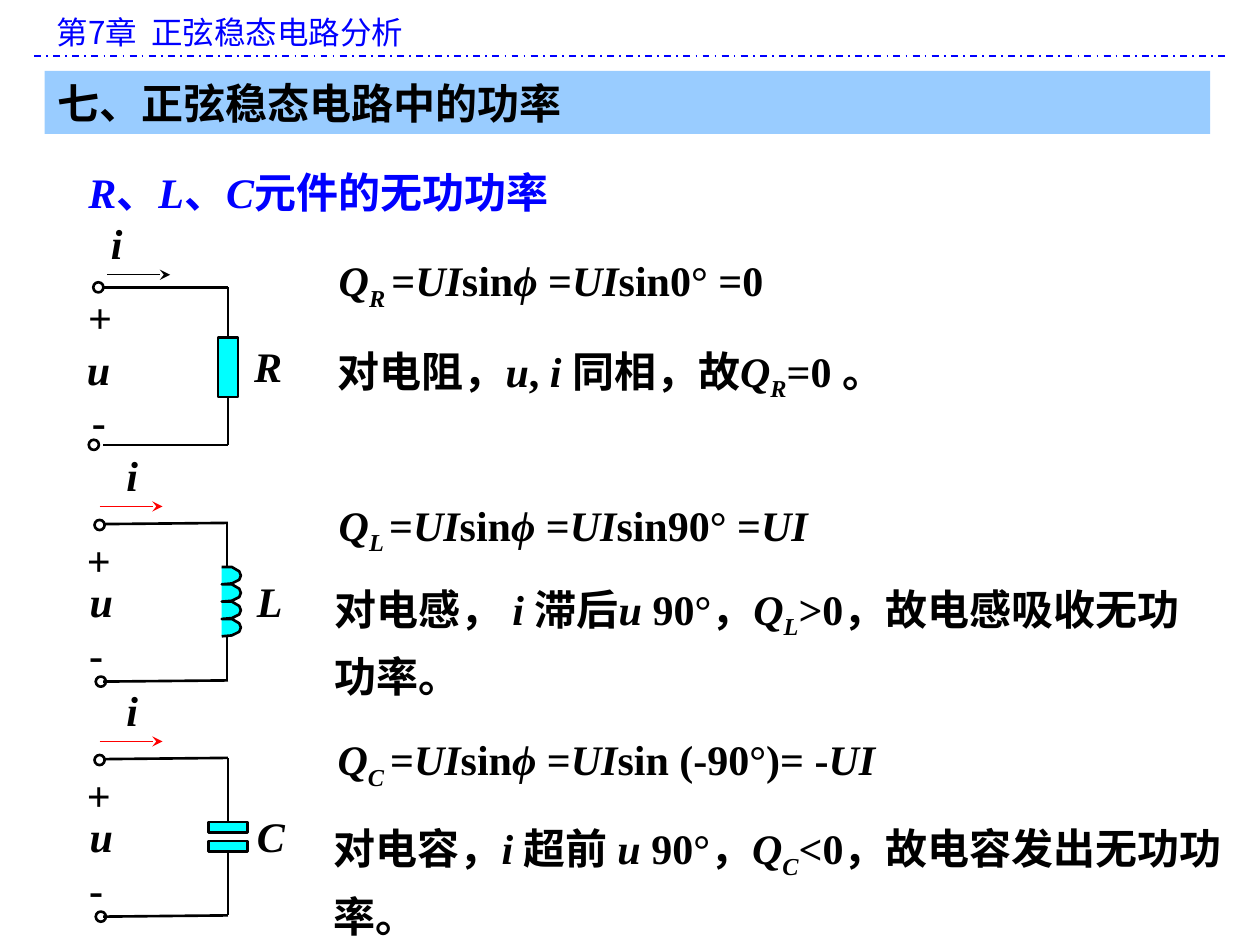
from pptx import Presentation
from pptx.dml.color import RGBColor
from pptx.enum.dml import MSO_LINE
from pptx.enum.shapes import MSO_CONNECTOR, MSO_SHAPE
from pptx.oxml.ns import qn
from pptx.oxml.xmlchemy import OxmlElement
from pptx.util import Pt

RECTANGLE, OVAL = MSO_SHAPE.RECTANGLE, MSO_SHAPE.OVAL
STRAIGHT = MSO_CONNECTOR.STRAIGHT
DASH_DOT = MSO_LINE.DASH_DOT

COLORS = {"black": "000000", "blue": "0000FF", "red": "FF0000",
          "cyan": "00FFFF", "band": "99CCFF"}
LATIN, CHINESE = "Times New Roman", "Noto Sans CJK SC"
WIRE = 1.5
RIGHT = 130.3      # x of the right-hand wire
HEIGHT = 90        # distance between the two horizontal wires


def color(name):
    return RGBColor.from_string(COLORS[name])


def write(shape, markup, ink="black", size=24, font=LATIN, bold=True, spacing=None):
    """Write one paragraph: *...* is italic, and _ inside it starts a subscript."""
    shape.text_frame.word_wrap = True
    paragraph = shape.text_frame.paragraphs[0]
    if spacing:
        paragraph.line_spacing = spacing
    paragraph.font.name = font
    paragraph.font.size = Pt(size)
    paragraph.font.bold = bold
    paragraph.font.color.rgb = color(ink)
    east_asian = OxmlElement("a:ea")
    east_asian.set("typeface", CHINESE)
    paragraph._p.pPr.find(qn("a:defRPr")).append(east_asian)
    for index, part in enumerate(markup.split("*")):
        base, _, subscript = part.partition("_")
        for text, offset in ((base, None), (subscript, "-25000")):
            if text:
                run = paragraph.add_run()
                run.text = text
                if index % 2:
                    run.font.italic = True
                if offset:
                    run.font._element.set("baseline", offset)


def add_text(shapes, left, top, width, height, markup, **style):
    box = shapes.add_textbox(Pt(left), Pt(top), Pt(width), Pt(height))
    write(box, markup, **style)


def add_line(shapes, x1, y1, x2, y2, ink="black", width=WIRE, dash=None, arrow=False):
    line = shapes.add_connector(STRAIGHT, Pt(x1), Pt(y1), Pt(x2), Pt(y2))
    line.line.color.rgb = color(ink)
    line.line.width = Pt(width)
    if dash:
        line.line.dash_style = dash
    if arrow:
        tail = OxmlElement("a:tailEnd")
        tail.set("type", "stealth")
        line.line._get_or_add_ln().append(tail)
    line._element.spPr.append(OxmlElement("a:effectLst"))


def paint(shape, fill=None, outline="black"):
    shape.shadow.inherit = False
    if fill:
        shape.fill.solid()
        shape.fill.fore_color.rgb = color(fill)
    else:
        shape.fill.background()
    if outline:
        shape.line.color.rgb = color(outline)
        shape.line.width = Pt(WIRE)
    else:
        shape.line.fill.background()


def add_shape(shapes, kind, left, top, width, height, fill=None, outline="black"):
    shape = shapes.add_shape(kind, Pt(left), Pt(top), Pt(width), Pt(height))
    paint(shape, fill, outline)
    return shape


def add_resistor(shapes, top):
    add_line(shapes, RIGHT, top, RIGHT, top + HEIGHT)
    add_shape(shapes, RECTANGLE, RIGHT - 5.8, top + 28.7, 11.6, 34, "cyan")


def add_inductor(shapes, top):
    add_line(shapes, RIGHT - 0.6, top, RIGHT - 0.6, top + HEIGHT)
    # Four equal turns bulging to the right
    left, start, pitch = 126.7, top + 25.2, 9.9
    turn = [(5.8, 0), (10, 2.5), (10.9, 4.9), (10, 7.3), (5.8, 9.4), (0, pitch)]
    points = [(left + x, start + number * pitch + y)
              for number in range(4) for x, y in turn]
    builder = shapes.build_freeform(Pt(left), Pt(start))
    builder.add_line_segments([(Pt(x), Pt(y)) for x, y in points], close=False)
    paint(builder.convert_to_shape(), "cyan")


def add_capacitor(shapes, top):
    add_line(shapes, RIGHT, top, RIGHT, top + 36.7)
    add_line(shapes, RIGHT, top + 53.3, RIGHT, top + HEIGHT)
    for offset in (36.7, 47.5):
        add_shape(shapes, RECTANGLE, RIGHT - 11.3, top + offset, 22.6, 5.8, "cyan")


def add_circuit(slide, top, add_component, labels, arrow, terminals, slant=0):
    """Draw a one-port; labels, arrow and terminals are offsets from the top wire."""
    shapes = slide.shapes.add_group_shape().shapes
    for y in (top, top + HEIGHT):
        add_line(shapes, 59, y + slant, RIGHT, y)
    add_component(shapes, top)
    x, offset, ink = arrow
    add_line(shapes, x, top + offset, x + 36, top + offset, ink, 0.75, arrow=True)
    for markup, x, offset in labels:
        add_text(shapes, x, top + offset, 34, 36, markup)
    for x, offset in terminals:
        add_shape(shapes, OVAL, x - 2.9, top + offset - 2.9, 5.8, 5.8)


def main():
    presentation = Presentation()
    presentation.slide_width, presentation.slide_height = Pt(720), Pt(540)
    slide = presentation.slides.add_slide(presentation.slide_layouts[6])
    shapes = slide.shapes

    # Chapter header and section band
    add_text(shapes, 25.2, 3.6, 675, 29, "第7章  正弦稳态电路分析",
             ink="blue", size=18, font=CHINESE, bold=False)
    add_line(shapes, 19.5, 32, 700, 32, "blue", 1, DASH_DOT)
    band = add_shape(shapes, RECTANGLE, 25.5, 40.5, 666, 36, "band", None)
    write(band, "七、正弦稳态电路中的功率")
    band.text_frame.paragraphs[0].alignment = 1
    add_text(shapes, 43.4, 91.5, 646, 36, "*R*、*L*、*C*元件的无功功率", ink="blue")

    # Reactive power formulas
    for left, top, markup in (
            (186.5, 142, "*Q_R *=*UI*sin*ϕ *=*UI*sin0° =0"),
            (186.5, 281.8, "*Q_L *=*UI*sin*ϕ *=*UI*sin90° =*UI*"),
            (185.8, 415.8, "*Q_C *=*UI*sin*ϕ *=*UI*sin (-90°)= -*UI*")):
        add_text(shapes, left, top, 490, 36, markup)

    # Explanations
    for left, top, width, height, markup in (
            (185.8, 187.2, 492, 42, "对电阻，*u*, *i *同相，故*Q_R*=0 。"),
            (184.3, 323.3, 516, 76,
             "对电感， *i *滞后*u *90°，*Q_L*>0，故电感吸收无功功率。"),
            (183.6, 460.1, 534, 76,
             "对电容，*i *超前 *u *90°，*Q_C*<0，故电容发出无功功率。")):
        add_text(shapes, left, top, width, height, markup, spacing=1.2)

    # Circuits
    add_circuit(slide, 164.2, add_resistor,
                [("*i*", 56.2, -43.2), ("+", 43.2, -1.4), ("*u*", 42.5, 28.8),
                 ("-", 45.4, 58.3), ("*R*", 138.2, 26.6)],
                (61.2, -7.2, "black"), [(56.2, 0), (53.6, HEIGHT)])
    shared_labels = [("*i*", 65.2, -45.4), ("+", 42.5, 2.9),
                     ("*u*", 44.2, 26.6), ("-", 43.9, 56.9)]
    for top, add_component, name in ((298.8, add_inductor, "*L*"),
                                     (433.1, add_capacitor, "*C*")):
        add_circuit(slide, top, add_component,
                    shared_labels + [(name, 139.7, 26.6)],
                    (56.9, -9.4, "red"), [(56.9, 1.2), (57.6, HEIGHT + 0.7)], 0.7)

    presentation.save("out.pptx")


if __name__ == "__main__":
    main()
